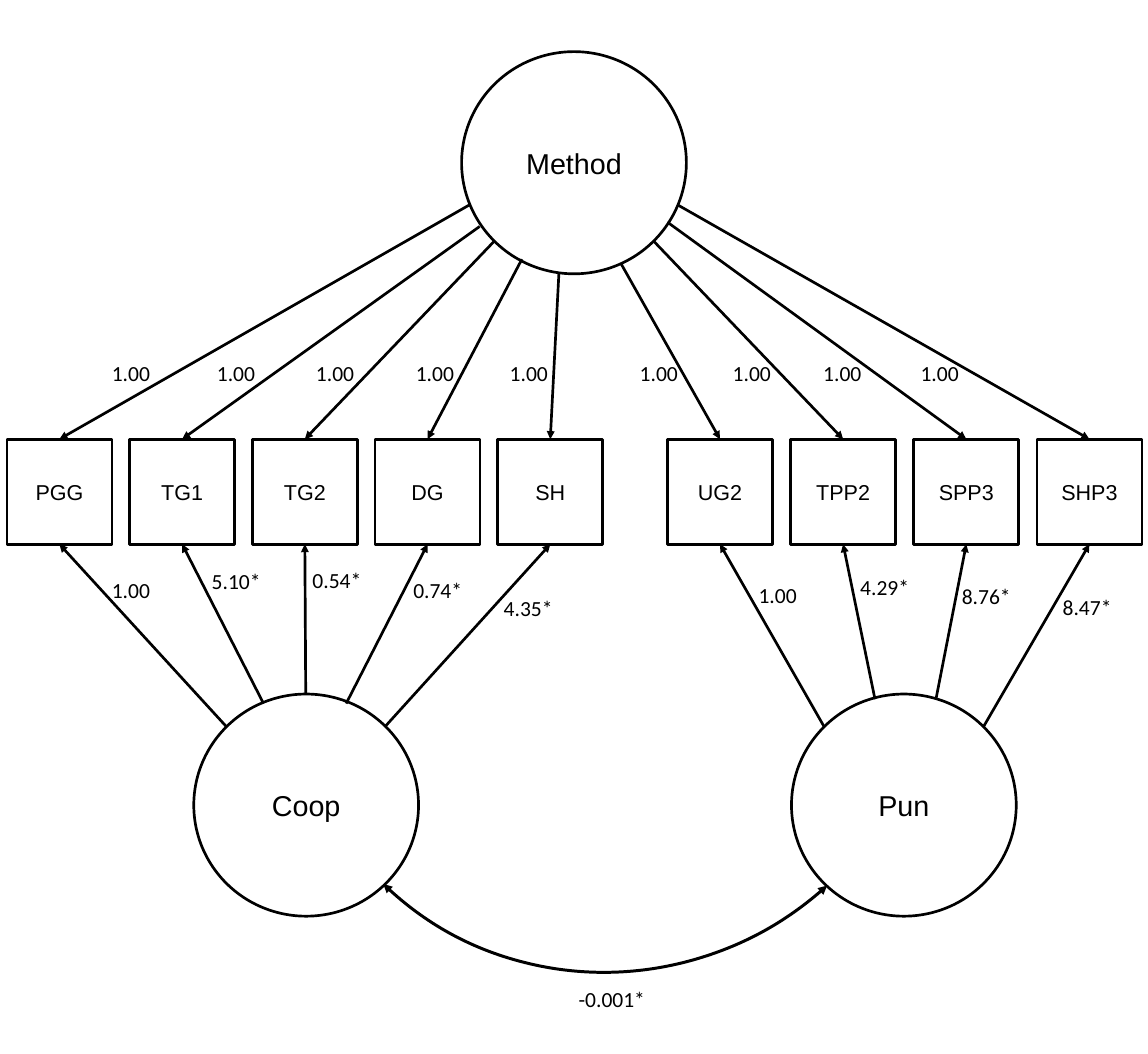
from typing import NamedTuple

from pptx import Presentation, util as u
from pptx.dml.color import RGBColor
from pptx.enum import shapes, text
from pptx.oxml.ns import qn
from lxml import etree

COLORS = {"ink": "000000", "paper": "FFFFFF"}
BOX_TOP, BOX_SIZE = 5.1, 1.22
CIRCLE_WIDTH, CIRCLE_HEIGHT = 2.61, 2.58
METHOD_LABEL_TOP = 4.13


class Point(NamedTuple):
    x: float
    y: float


class Factor(NamedTuple):
    name: str
    corner: Point


class Indicator(NamedTuple):
    name: str
    method_start: Point
    method_label_left: float
    factor_start: Point
    loading: str
    loading_at: Point


class Group(NamedTuple):
    left: float
    pitch: float
    indicators: list[Indicator]


FACTORS = [
    Factor("Method", Point(5.36, 0.6)),
    Factor("Coop", Point(2.25, 8.06)),
    Factor("Pun", Point(9.19, 8.06)),
]

GROUPS = [
    Group(0.08, 1.425, [
        Indicator("PGG", Point(5.45, 2.38), 1.2, Point(2.63, 8.44), "1.00", Point(1.2, 6.65)),
        Indicator("TG1", Point(5.57, 2.63), 2.42, Point(3.06, 8.17), "5.10*", Point(2.36, 6.55)),
        Indicator("TG2", Point(5.74, 2.8), 3.57, Point(3.55, 8.06), "0.54*", Point(3.53, 6.53)),
        Indicator("DG", Point(6.06, 3.01), 4.73, Point(4.02, 8.17), "0.74*", Point(4.7, 6.65)),
        Indicator("SH", Point(6.49, 3.17), 5.82, Point(4.47, 8.44), "4.35*", Point(5.75, 6.86)),
    ]),
    Group(7.75, 1.43, [
        Indicator("UG2", Point(7.21, 3.06), 7.33, Point(9.57, 8.44), "1.00", Point(8.71, 6.71)),
        Indicator("TPP2", Point(7.59, 2.8), 8.41, Point(10.16, 8.12), "4.29*", Point(9.89, 6.62)),
        Indicator("SPP3", Point(7.75, 2.58), 9.46, Point(10.87, 8.11), "8.76*", Point(11.07, 6.72)),
        Indicator("SHP3", Point(7.87, 2.38), 10.59, Point(11.42, 8.44), "8.47*", Point(12.24, 6.85)),
    ]),
]


def color(name: str) -> RGBColor:
    return RGBColor.from_string(COLORS[name])


def style_line(shape, width: float, *ends: str) -> None:
    shape.line.color.rgb = color("ink")
    shape.line.width = u.Pt(width)
    for end in ends:
        etree.SubElement(shape.line._get_or_add_ln(), qn(f"a:{end}"), type="triangle")


def write(frame, words: str, size: int, font: str, align) -> None:
    para = frame.paragraphs[0]
    para.text = words
    para.alignment = align
    para.font.size = u.Pt(size)
    para.font.name = font
    para.font.color.rgb = color("ink")


def add_node(page, kind, words: str, corner: Point, width: float, height: float, size: int) -> None:
    node = page.shapes.add_shape(kind, u.Inches(corner.x), u.Inches(corner.y),
                                 u.Inches(width), u.Inches(height))
    node.shadow.inherit = False
    node.fill.solid()
    node.fill.fore_color.rgb = color("paper")
    style_line(node, 2.25)
    node.text_frame.vertical_anchor = text.MSO_ANCHOR.MIDDLE
    write(node.text_frame, words, size, "Arial", text.PP_ALIGN.CENTER)


def add_arrow(page, start: Point, tip: Point) -> None:
    arrow = page.shapes.add_connector(shapes.MSO_CONNECTOR.STRAIGHT,
                                      *(u.Inches(length) for length in (*start, *tip)))
    style_line(arrow, 2.25, "tailEnd")
    etree.SubElement(arrow._element.spPr, qn("a:effectLst"))


def add_label(page, words: str, corner: Point, width: float) -> None:
    label = page.shapes.add_textbox(u.Inches(corner.x), u.Inches(corner.y),
                                    u.Inches(width), u.Inches(0.4))
    label.text_frame.word_wrap = False
    label.text_frame.auto_size = text.MSO_AUTO_SIZE.SHAPE_TO_FIT_TEXT
    write(label.text_frame, words, 18, "Calibri", text.PP_ALIGN.LEFT)


def add_covariance(page) -> None:
    arc = page.shapes.add_shape(shapes.MSO_SHAPE.ARC, u.Inches(3.28), u.Inches(3.78),
                                u.Inches(7.66), u.Inches(7.46))
    arc.adjustments[0] = 164.43
    arc.adjustments[1] = 0
    arc.rotation = 134
    arc.shadow.inherit = False
    arc.fill.background()
    style_line(arc, 2.5, "headEnd", "tailEnd")
    add_label(page, "-0.001*", Point(6.62, 11.4), 0.98)


def add_indicator(page, item: Indicator, left: float) -> None:
    middle = left + BOX_SIZE / 2
    add_node(page, shapes.MSO_SHAPE.RECTANGLE, item.name, Point(left, BOX_TOP),
             BOX_SIZE, BOX_SIZE, 18)
    add_arrow(page, item.method_start, Point(middle, BOX_TOP))
    add_arrow(page, item.factor_start, Point(middle, BOX_TOP + BOX_SIZE))
    add_label(page, "1.00", Point(item.method_label_left, METHOD_LABEL_TOP), 0.65)
    add_label(page, item.loading, item.loading_at, 0.78 if "*" in item.loading else 0.65)


deck = Presentation()
deck.slide_width, deck.slide_height = u.Inches(13.33), u.Inches(12.24)
page = deck.slides.add_slide(deck.slide_layouts[6])

add_covariance(page)
for factor in FACTORS:
    add_node(page, shapes.MSO_SHAPE.OVAL, factor.name, factor.corner,
             CIRCLE_WIDTH, CIRCLE_HEIGHT, 24)
for group in GROUPS:
    for column, item in enumerate(group.indicators):
        add_indicator(page, item, group.left + column * group.pitch)

deck.save("out.pptx")
